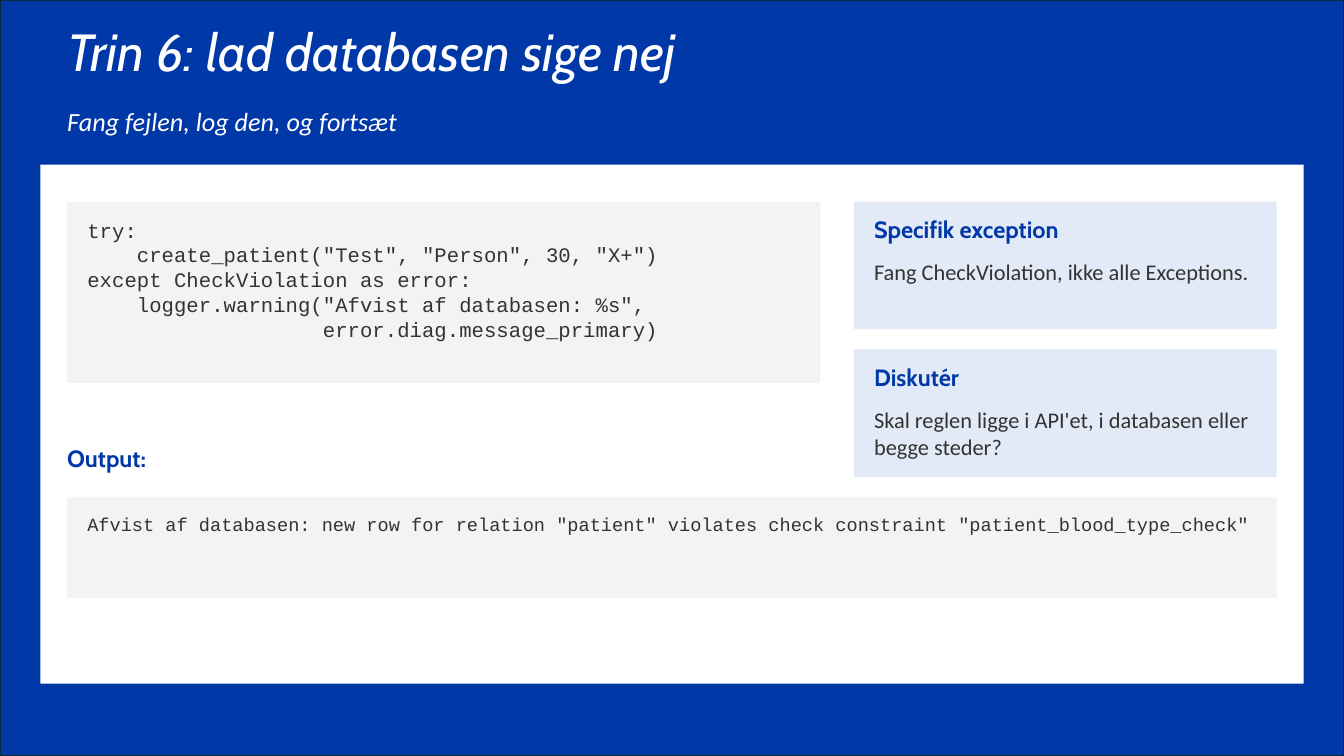
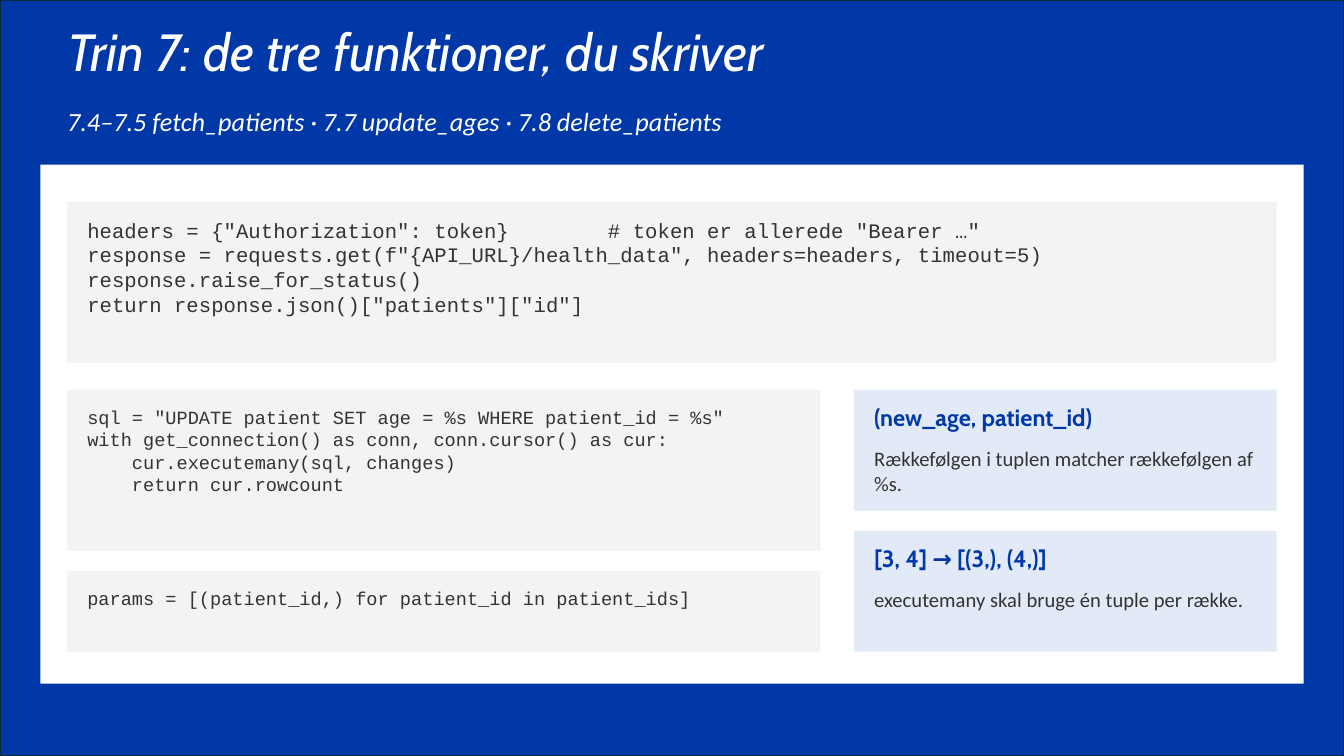
"""Builds two Danish course slides on database checks and patient functions."""
from dataclasses import dataclass

from pptx import Presentation
from pptx.dml.color import RGBColor
from pptx.enum.shapes import MSO_SHAPE
from pptx.enum.text import MSO_ANCHOR, MSO_AUTO_SIZE, PP_ALIGN
from pptx.util import Pt

RECT = MSO_SHAPE.RECTANGLE
TOP = MSO_ANCHOR.TOP
NO_FIT = MSO_AUTO_SIZE.NONE
LEFT = PP_ALIGN.LEFT


@dataclass(frozen=True)
class Theme:
    blue: str = "0038A8"
    edge: str = "092A39"
    white: str = "FFFFFF"
    code_fill: str = "F2F3F4"
    card_fill: str = "E3EAF7"
    ink: str = "333333"
    display: str = "Cabin"
    text: str = "Calibri"
    mono: str = "Courier New"
    title: float = 37.3
    subtitle: float = 18.7
    heading: float = 16.8
    body: float = 16
    large: float = 14.7
    small: float = 13.3


THEME = Theme()
WIDTH, HEIGHT = 960, 540
MARGIN, GAP = 48, 14.4
FULL_WIDTH = WIDTH - 2 * MARGIN
MAIN_WIDTH, SIDE_WIDTH = 538, 302
SIDE_LEFT = WIDTH - MARGIN - SIDE_WIDTH
PANEL = (28.8, 117.6, 902.4, 370.8)
TITLE_BOX = (MARGIN, 19.2, FULL_WIDTH, 52.8)
SUBTITLE_BOX = (MARGIN, 75, FULL_WIDTH, 33.6)
CODE_INSET, CARD_INSET = (14.4, 11.5), (14.4, 9.6)
CARD_SPACING = 10.5

SLIDES = [
    {
        "title": "Trin 6: lad databasen sige nej",
        "subtitle": "Fang fejlen, log den, og fortsæt",
        "code": [
            (144, MAIN_WIDTH, 129.6, THEME.large, [
                'try:',
                '    create_patient("Test", "Person", 30, "X+")',
                'except CheckViolation as error:',
                '    logger.warning("Afvist af databasen: %s",',
                '                   error.diag.message_primary)',
            ]),
            (355.2, FULL_WIDTH, 72, THEME.small, [
                'Afvist af databasen: new row for relation "patient" '
                'violates check constraint "patient_blood_type_check"',
            ]),
        ],
        "labels": [(316.8, "Output:")],
        "cards_top": 144,
        "card_height": 91.2,
        "card_size": THEME.body,
        "cards": [
            ("Specifik exception", "Fang CheckViolation, ikke alle Exceptions."),
            ("Diskutér", "Skal reglen ligge i API'et, i databasen eller begge steder?"),
        ],
    },
    {
        "title": "Trin 7: de tre funktioner, du skriver",
        "subtitle": "7.4–7.5 fetch_patients · 7.7 update_ages · 7.8 delete_patients",
        "code": [
            (144, FULL_WIDTH, 115.2, THEME.large, [
                'headers = {"Authorization": token}        # token er allerede "Bearer …"',
                'response = requests.get(f"{API_URL}/health_data", headers=headers, timeout=5)',
                'response.raise_for_status()',
                'return response.json()["patients"]["id"]',
            ]),
            (278.4, MAIN_WIDTH, 115.2, THEME.small, [
                'sql = "UPDATE patient SET age = %s WHERE patient_id = %s"',
                'with get_connection() as conn, conn.cursor() as cur:',
                '    cur.executemany(sql, changes)',
                '    return cur.rowcount',
            ]),
            (408, MAIN_WIDTH, 57.6, THEME.small, [
                'params = [(patient_id,) for patient_id in patient_ids]',
            ]),
        ],
        "labels": [],
        "cards_top": 278.4,
        "card_height": 86.4,
        "card_size": THEME.large,
        "cards": [
            ("(new_age, patient_id)", "Rækkefølgen i tuplen matcher rækkefølgen af %s."),
            ("[3, 4] → [(3,), (4,)]", "executemany skal bruge én tuple per række."),
        ],
    },
]


def points(box):
    return [Pt(length) for length in box]


def rectangle(slide, box, fill, edge=None):
    block = slide.shapes.add_shape(RECT, *points(box))
    block.shadow.inherit = False
    block.fill.solid()
    block.fill.fore_color.rgb = RGBColor.from_string(fill)
    if edge:
        block.line.color.rgb = RGBColor.from_string(edge)
        block.line.width = Pt(1.5)
    else:
        block.line.fill.background()
    return block


def prepare(holder, inset=(0, 0)):
    frame = holder.text_frame
    frame.word_wrap = True
    frame.auto_size = NO_FIT
    frame.vertical_anchor = TOP
    frame.margin_left = frame.margin_right = Pt(inset[0])
    frame.margin_top, frame.margin_bottom = Pt(inset[1]), 0
    return frame


def write(frame, text, *, font, size, color, bold=False, italic=False,
          before=0, spacing=None):
    paragraph = frame.paragraphs[0]
    if paragraph.runs:
        paragraph = frame.add_paragraph()
    paragraph.alignment = LEFT
    paragraph.space_before = Pt(before)
    if spacing:
        paragraph.line_spacing = spacing
    run = paragraph.add_run()
    run.text = text
    run.font.name, run.font.size = font, Pt(size)
    run.font.bold, run.font.italic = bold, italic
    run.font.color.rgb = RGBColor.from_string(color)


def text_box(slide, box):
    return prepare(slide.shapes.add_textbox(*points(box)))


def write_heading(frame, text):
    write(frame, text, font=THEME.display, size=THEME.heading,
          color=THEME.blue, bold=True)


def set_up_layout(layout, slide):
    title = layout.placeholders[0]
    title.left, title.top, title.width, title.height = points(TITLE_BOX)
    backdrop = rectangle(slide, (0, 0, WIDTH, HEIGHT), THEME.blue, THEME.edge)
    panel = rectangle(slide, PANEL, THEME.white)
    for position, part in enumerate((backdrop, panel), start=2):
        layout.shapes.element.insert(position, part.element)


def fill_slide(slide, content):
    write(prepare(slide.shapes.title), content["title"], font=THEME.display,
          size=THEME.title, color=THEME.white, italic=True, spacing=0.9)
    write(text_box(slide, SUBTITLE_BOX), content["subtitle"], font=THEME.text,
          size=THEME.subtitle, color=THEME.white, italic=True)
    for top, width, height, size, lines in content["code"]:
        listing = rectangle(slide, (MARGIN, top, width, height), THEME.code_fill)
        frame = prepare(listing, CODE_INSET)
        for line in lines:
            write(frame, line, font=THEME.mono, size=size, color=THEME.ink)
    for top, label in content["labels"]:
        write_heading(text_box(slide, (MARGIN, top, MAIN_WIDTH, 33.6)), label)
    height = content["card_height"]
    for index, (heading, body) in enumerate(content["cards"]):
        top = content["cards_top"] + index * (height + GAP)
        card = rectangle(slide, (SIDE_LEFT, top, SIDE_WIDTH, height), THEME.card_fill)
        frame = prepare(card, CARD_INSET)
        write_heading(frame, heading)
        write(frame, body, font=THEME.text, size=content["card_size"],
              color=THEME.ink, before=CARD_SPACING)


def main():
    deck = Presentation()
    deck.slide_width, deck.slide_height = Pt(WIDTH), Pt(HEIGHT)
    layout = deck.slide_layouts[5]
    slides = [deck.slides.add_slide(layout) for _ in SLIDES]
    set_up_layout(layout, slides[0])
    for slide, content in zip(slides, SLIDES):
        fill_slide(slide, content)
    deck.save("out.pptx")


if __name__ == "__main__":
    main()
